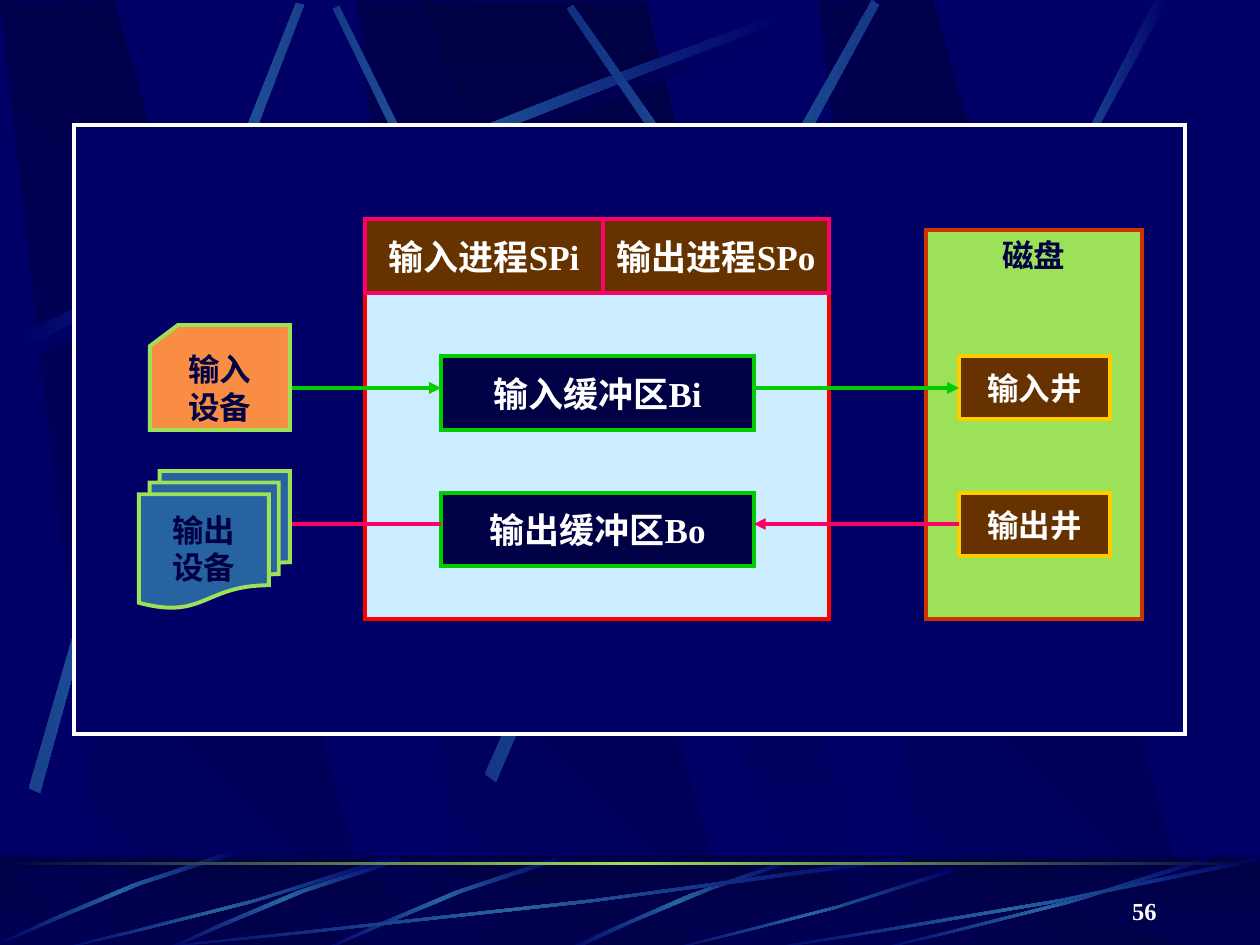
import math

import lxml.etree
import pptx
import pptx.dml.color
import pptx.enum.shapes
import pptx.enum.text
import pptx.oxml
import pptx.oxml.ns
import pptx.util

EMU_PER_PX = 914400 / 126
FONT = "Times New Roman"
NAVY, BLUE, STEEL, LIME, WHITE = "000044", "000066", "2663A0", "9CE157", "FFFFFF"
GREEN, PINK, BROWN, YELLOW = "00CC00", "FF0066", "663300", "FFCC00"
SHAPES = pptx.enum.shapes.MSO_SHAPE
ANCHORS = pptx.enum.text.MSO_ANCHOR
ALIGNS = pptx.enum.text.PP_ALIGN

# Background: band outlines are corner lists, streaks are two curves there and back.
BAND = [(465, 946), (737, 949), (471, 1), (357, 2)]
WEDGE = [(420, 1), (829, 946), (874, 946), (646, 0)]
BAND_LEFTS, BAND_WIDTH = (357, 0, 819), 381
WEDGE_LEFT, WEDGE_WIDTH = 420, 454
BAND_ROWS = [(1, 948), (867, 83)]  # top, height

SWEEP = [(25, 346), (358, 169), (660, 74), (789, 23), (793, 30), (665, 87), (320, 190), (29, 359)]
UPPER_STREAKS = [  # curve points, turn in degrees
    ([(580, 549), (493, 295), (381, 97), (339, 6), (333, 9), (372, 100), (501, 325), (572, 553)], 45),
    ([(x - 8, y - 10) for x, y in SWEEP], 0),
    ([(29, 788), (117, 421), (248, 132), (296, 3), (304, 5), (261, 136), (108, 464), (40, 793)], 311.7),
    ([(485, 774), (627, 403), (804, 129), (872, 0), (879, 5), (818, 136), (612, 447), (496, 782)], 321.6),
    ([(1016, 706), (844, 369), (650, 120), (573, 5), (567, 9), (639, 127), (863, 410), (1007, 713)], 34.8),
    ([(930, 495), (1026, 218), (1119, 83), (1155, 0), (1168, 0), (1053, 183), (969, 406), (937, 500)], 0),
]
FOOTER_CURVE = [(790, 859), (677, 893), (601, 935), (564, 950), (571, 951), (617, 929), (719, 882), (791, 863)]
FOOTER_TURNED = [(557, 857), (447, 888), (362, 932), (323, 949), (324, 951), (363, 936), (460, 886), (559, 861)]
FOOTER_SHIFTS = [(0, 0), (-158, 0), (-323, -7)]
FOOTER_LONG = [(903, 861), (566, 911), (260, 937), (130, 951), (126, 950), (255, 934), (605, 905), (900, 857)]
FOOTER_BOXES = [(126, 857, 777, 94), (53, 857, 336, 94), (664, 868, 291, 83),
                (872, 857, 336, 94), (756, 857, 504, 94)]

# Diagram: kind, box, fill, line, lines of text, size, text colour
PANELS = [
    (SHAPES.RECTANGLE, (74, 125, 1111, 609), BLUE, WHITE, [], 0, WHITE),
    (SHAPES.RECTANGLE, (365, 219, 464, 400), "CCECFF", "FF0000", [], 0, WHITE),
    (SHAPES.RECTANGLE, (365, 219, 238, 74), BROWN, PINK, ["输入进程SPi"], 20, WHITE),
    (SHAPES.RECTANGLE, (603, 219, 226, 74), BROWN, PINK, ["输出进程SPo"], 20, WHITE),
    (SHAPES.RECTANGLE, (441, 356, 313, 74), NAVY, GREEN, ["输入缓冲区Bi"], 20, WHITE),
    (SHAPES.RECTANGLE, (441, 493, 313, 73), NAVY, GREEN, ["输出缓冲区Bo"], 20, WHITE),
]
DEVICE_ARROWS = [(441, 280, 524, PINK), (280, 441, 388, GREEN)]  # from x, to x, y, colour
DEVICES = [
    (SHAPES.FLOWCHART_CARD, (150, 325, 140, 105), "F98D43", LIME, ["输入", "设备"], 18, NAVY),
    (SHAPES.FLOWCHART_MULTIDOCUMENT, (139, 471, 151, 137), STEEL, LIME, ["输出", "设备"], 18, NAVY),
]
DISK = (SHAPES.RECTANGLE, (926, 230, 216, 389), LIME, "CC3300", ["磁盘"], 18, NAVY)
WELLS = [
    (SHAPES.RECTANGLE, (959, 356, 151, 63), BROWN, YELLOW, ["输入井"], 18, WHITE),
    (SHAPES.RECTANGLE, (959, 493, 151, 63), BROWN, YELLOW, ["输出井"], 18, WHITE),
]
WELL_ARROWS = [(754, 959, 388, GREEN), (959, 754, 524, PINK)]


def px(value):
    return pptx.util.Emu(round(value * EMU_PER_PX))


def color(value):
    return pptx.dml.color.RGBColor.from_string(value)


def set_gradient(shape, colors, angle):
    """Fill with evenly spaced colours; the angle runs clockwise."""
    shape.fill.solid()
    solid = shape._element.spPr.find(pptx.oxml.ns.qn("a:solidFill"))
    last = len(colors) - 1
    stops = "".join(f'<a:gs pos="{100000 * index // last}"><a:srgbClr val="{value}"/></a:gs>'
                    for index, value in enumerate(colors))
    solid.getparent().replace(solid, pptx.oxml.parse_xml(
        f'<a:gradFill {pptx.oxml.ns.nsdecls("a")} rotWithShape="0"><a:gsLst>{stops}</a:gsLst>'
        f'<a:lin ang="{angle * 60000}" scaled="1"/></a:gradFill>'))


def bezier(points, steps=3):
    for step in range(steps + 1):
        t = step / steps
        weights = ((1 - t) ** 3, 3 * t * (1 - t) ** 2, 3 * t * t * (1 - t), t ** 3)
        yield tuple(sum(w * p[axis] for w, p in zip(weights, points)) for axis in (0, 1))


def streak(points):
    return [*bezier(points[:4]), *bezier(points[4:])]


def bounds(points):
    xs, ys = zip(*points)
    return min(xs), min(ys), max(xs) - min(xs), max(ys) - min(ys)


def fit(points, box):
    """Stretch an outline into a box."""
    left, top, width, height = bounds(points)
    return [(box[0] + (x - left) * box[2] / width, box[1] + (y - top) * box[3] / height)
            for x, y in points]


def add_outline(slide, points, colors, angle, turn=0):
    """Draw an outline as a shape that is turned by some degrees."""
    left, top, width, height = bounds(points)
    middle_x, middle_y = left + width / 2, top + height / 2
    cos, sin = math.cos(math.radians(-turn)), math.sin(math.radians(-turn))
    flat = [(px(middle_x + (x - middle_x) * cos - (y - middle_y) * sin),
             px(middle_y + (x - middle_x) * sin + (y - middle_y) * cos)) for x, y in points]
    flat_left, flat_top, flat_width, flat_height = bounds(flat)
    offset_x = flat_left + flat_width / 2 - px(middle_x)
    offset_y = flat_top + flat_height / 2 - px(middle_y)
    builder = slide.shapes.build_freeform(*flat[0], scale=1.0)
    builder.add_line_segments(flat[1:], close=True)
    shape = builder.convert_to_shape()
    # Turning moves the centre of the flat box, so put it where the turned outline needs it.
    back_cos, back_sin = cos, -sin
    shape.left += round(offset_x * back_cos - offset_y * back_sin - offset_x)
    shape.top += round(offset_x * back_sin + offset_y * back_cos - offset_y)
    shape.rotation = turn
    shape.shadow.inherit = False
    shape.line.fill.background()
    set_gradient(shape, colors, angle)


def add_streak(slide, points, turn=0):
    add_outline(slide, points, [BLUE, STEEL, BLUE], 0, turn)


def add_bands(slide, top, height):
    for left in BAND_LEFTS:
        add_outline(slide, fit(BAND, (left, top, BAND_WIDTH, height)), [BLUE, NAVY], 315)
    add_outline(slide, fit(WEDGE, (WEDGE_LEFT, top, WEDGE_WIDTH, height)), [NAVY, BLUE], 90)


def add_bar(slide, box):
    bar = slide.shapes.add_shape(SHAPES.RECTANGLE, *map(px, box))
    bar.shadow.inherit = False
    bar.line.fill.background()
    return bar


def write(box, lines, size, text_color, align, anchor, wrap):
    frame = box.text_frame
    for name, value in {"word_wrap": wrap, "vertical_anchor": anchor}.items():
        setattr(frame, name, value)
    for index, text in enumerate(lines):
        para = frame.paragraphs[0] if index == 0 else frame.add_paragraph()
        para.alignment = align
        span = para.add_run()
        span.text = text
        for name, value in {"name": FONT, "size": pptx.util.Pt(size), "bold": True}.items():
            setattr(span.font, name, value)
        span.font.color.rgb = color(text_color)


def add_panel(slide, kind, box, fill, line, lines, size, text_color, anchor=ANCHORS.MIDDLE):
    panel = slide.shapes.add_shape(kind, *map(px, box))
    panel.shadow.inherit = False
    panel.fill.solid()
    panel.fill.fore_color.rgb = color(fill)
    panel.line.color.rgb = color(line)
    panel.line.width = pptx.util.Pt(2.25)
    lxml.etree.SubElement(panel.line._get_or_add_ln(), pptx.oxml.ns.qn("a:miter"), lim="800000")
    write(panel, lines, size, text_color, ALIGNS.CENTER, anchor, False)


def add_arrow(slide, start, end, y, line):
    arrow = slide.shapes.add_connector(
        pptx.enum.shapes.MSO_CONNECTOR.STRAIGHT, px(start), px(y), px(end), px(y))
    arrow.line.color.rgb = color(line)
    arrow.line.width = pptx.util.Pt(2.25)
    qn = pptx.oxml.ns.qn
    lxml.etree.SubElement(arrow.line._get_or_add_ln(), qn("a:tailEnd"), type="triangle")
    lxml.etree.SubElement(arrow._element.spPr, qn("a:effectLst"))


def add_background(slide):
    slide.background.fill.solid()
    slide.background.fill.fore_color.rgb = color(BLUE)
    add_bands(slide, *BAND_ROWS[0])
    add_outline(slide, streak(SWEEP), [BLUE, NAVY, BLUE], 0)
    for points, turn in UPPER_STREAKS:
        add_streak(slide, streak(points), turn)
    set_gradient(add_bar(slide, (0, 857, 1260, 94)), [NAVY, BLUE], 90)
    add_bands(slide, *BAND_ROWS[1])
    veil = add_bar(slide, (0, 856, 1260, 94))
    veil.fill.solid()
    veil.fill.fore_color.rgb = color(NAVY)
    tint = next(veil._element.spPr.iter(pptx.oxml.ns.qn("a:srgbClr")))
    lxml.etree.SubElement(tint, pptx.oxml.ns.qn("a:alpha"), val="50000")
    add_streak(slide, streak(FOOTER_CURVE))
    for dx, dy in FOOTER_SHIFTS:
        add_streak(slide, streak([(x + dx, y + dy) for x, y in FOOTER_TURNED]), 314.9)
    for box in FOOTER_BOXES:
        add_streak(slide, fit(streak(FOOTER_LONG), box))
    set_gradient(add_bar(slide, (0, 862, 1260, 3)), [NAVY, LIME, NAVY], 0)


def main():
    deck = pptx.Presentation()
    deck.slide_width, deck.slide_height = px(1260), px(945)
    slide = deck.slides.add_slide(deck.slide_layouts[6])
    add_background(slide)
    for panel in PANELS:
        add_panel(slide, *panel)
    for arrow in DEVICE_ARROWS:
        add_arrow(slide, *arrow)
    for device in DEVICES:
        add_panel(slide, *device)
    add_panel(slide, *DISK, anchor=ANCHORS.TOP)
    for well in WELLS:
        add_panel(slide, *well)
    for arrow in WELL_ARROWS:
        add_arrow(slide, *arrow)
    number = slide.shapes.add_textbox(*map(px, (907, 869, 262, 63)))
    write(number, ["56"], 14, WHITE, ALIGNS.RIGHT, ANCHORS.BOTTOM, True)
    deck.save("out.pptx")


if __name__ == "__main__":
    main()
